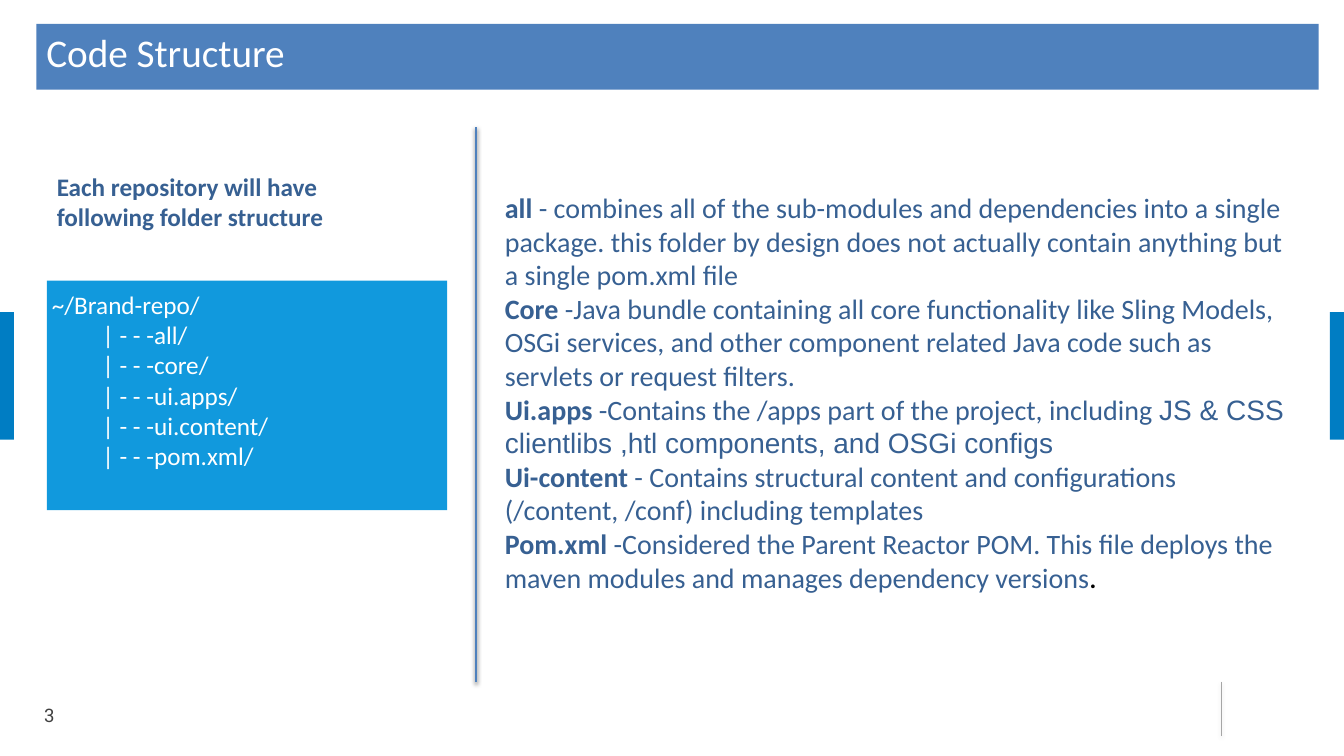
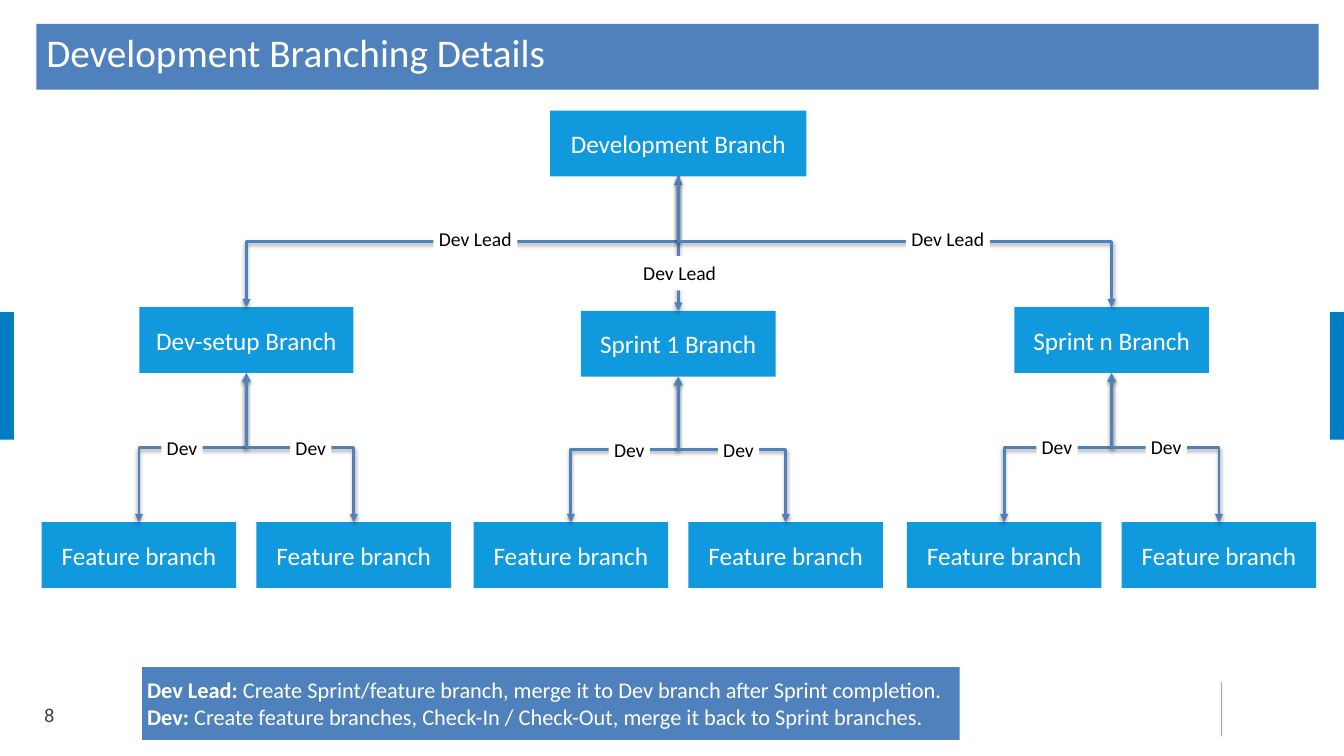
from dataclasses import dataclass
from typing import Optional

from lxml import etree
from pptx import Presentation
from pptx.dml.color import RGBColor
from pptx.enum import shapes as kinds
from pptx.enum import text as enums
from pptx.oxml import ns
from pptx.util import Pt


@dataclass(frozen=True)
class Theme:
    blue: str = "4F81BD"
    sky: str = "1199DD"
    edge: str = "007DC3"
    navy: str = "376092"
    white: str = "FFFFFF"
    black: str = "000000"
    dark: str = "404040"
    gray: str = "A6A6A6"
    face: str = "Calibri"
    plain: str = "Arial"
    mark: str = "Roboto"
    title: float = 28
    body: float = 20
    box: float = 18
    key: float = 16
    label: float = 14
    page: float = 13.3


@dataclass(frozen=True)
class Area:
    x: float
    y: float
    w: float
    h: float


@dataclass(frozen=True)
class Style:
    size: float
    color: str
    face: str = "Calibri"
    bold: Optional[bool] = None
    center: bool = False
    middle: bool = False
    wrap: bool = True
    side: float = 3.6
    foot: float = 3.6


@dataclass(frozen=True)
class Run:
    text: str
    bold: Optional[bool] = None
    face: Optional[str] = None
    size: Optional[float] = None
    color: Optional[str] = None


@dataclass(frozen=True)
class Line:
    runs: tuple[Run, ...]
    indent: float = 0


@dataclass(frozen=True)
class Branch:
    name: str
    mid: float
    top: float
    width: float
    tags: tuple[float, float]
    level: float


T = Theme()
TITLE = Style(T.title, T.white, side=7.2)
PAGE = Style(T.page, T.dark, T.mark, side=7.2)
HEAD = Style(T.box, T.navy, bold=True, side=7.2)
BODY = Style(T.body, T.navy)
CODE = Style(T.box, T.white, middle=True, foot=25.6)
BOX = Style(T.box, T.white, center=True, middle=True)
TAG = Style(T.label, T.black, center=True, wrap=False)
KEY = Style(T.key, T.white, middle=True)
HIGH = 47
SPAN = 139
REACH = 76.7
LEAF = 373
ROOT = 79
MID = 484.5
BRANCHES = (
    Branch("Dev-setup Branch", 176, 219.5, 153, (-46, 46), 308),
    Branch("Sprint 1 Branch", MID, 222, SPAN, (-35, 43), 309),
    Branch("Sprint n Branch", 794, 219.5, SPAN, (-39, 39), 307),
)


def say(text: str) -> Line:
    return Line((Run(text),))


def term(name: str, *rest: Run) -> Line:
    return Line((Run(name, bold=True), *rest))


def rgb(code: str) -> RGBColor:
    return RGBColor.from_string(code)


def write(shape, lines: list[Line], style: Style) -> None:
    frame = shape.text_frame
    frame.word_wrap = style.wrap
    frame.margin_left = frame.margin_right = Pt(style.side)
    frame.margin_top, frame.margin_bottom = Pt(3.6), Pt(style.foot)
    anchor = enums.MSO_ANCHOR
    frame.vertical_anchor = anchor.MIDDLE if style.middle else anchor.TOP
    align = enums.PP_ALIGN
    for at, line in enumerate(lines):
        para = frame.add_paragraph() if at else frame.paragraphs[0]
        para.alignment = align.CENTER if style.center else align.LEFT
        if line.indent:
            para._p.get_or_add_pPr().set("marL", str(Pt(line.indent)))
        para.font.name, para.font.size = style.face, Pt(style.size)
        para.font.color.rgb = rgb(style.color)
        para.font.bold = style.bold
        for part in line.runs:
            run = para.add_run()
            run.text = part.text
            if part.bold is not None:
                run.font.bold = part.bold
            if part.face:
                run.font.name = part.face
            if part.size:
                run.font.size = Pt(part.size)
            if part.color:
                run.font.color.rgb = rgb(part.color)


def block(slide, area: Area, fill: str):
    shape = slide.shapes.add_shape(
        kinds.MSO_SHAPE.RECTANGLE, Pt(area.x), Pt(area.y), Pt(area.w), Pt(area.h)
    )
    shape.shadow.inherit = False
    shape.fill.solid()
    shape.fill.fore_color.rgb = rgb(fill)
    shape.line.fill.background()
    return shape


def panel(slide, area: Area, fill: str, lines: list[Line], style: Style):
    shape = block(slide, area, fill)
    write(shape, lines, style)
    return shape


def note(slide, area: Area, lines: list[Line], style: Style) -> None:
    shape = slide.shapes.add_textbox(Pt(area.x), Pt(area.y), Pt(area.w), Pt(area.h))
    write(shape, lines, style)


def dress(link, color: str, width: float, head: bool = False, tail: bool = False) -> None:
    link.line.color.rgb = rgb(color)
    link.line.width = Pt(width)
    props = link.element.spPr
    stroke = props.find(ns.qn("a:ln"))
    for end, show in (("headEnd", head), ("tailEnd", tail)):
        if show:
            etree.SubElement(stroke, ns.qn(f"a:{end}"), type="triangle")
    glow = etree.SubElement(props, ns.qn("a:effectLst"))
    shade = etree.SubElement(
        glow, ns.qn("a:outerShdw"), blurRad=str(Pt(3)), dist=str(Pt(1.6)),
        dir="5400000", rotWithShape="0",
    )
    tint = etree.SubElement(shade, ns.qn("a:srgbClr"), val=T.black)
    etree.SubElement(tint, ns.qn("a:alpha"), val="38000")


def rule(slide, x: float, top: float, end: float, color: str, width: float) -> None:
    link = slide.shapes.add_connector(
        kinds.MSO_CONNECTOR.STRAIGHT, Pt(x), Pt(top), Pt(x), Pt(end)
    )
    dress(link, color, width)


def elbow(slide, x: float, top: float, to: float, end: float, head: bool) -> None:
    drop, run = end - top, abs(to - x)
    left, right = (x + to - drop) / 2, (x + to + drop) / 2
    high, low = (top + end - run) / 2, (top + end + run) / 2
    west = to < x
    start, stop = (left, right) if west else (right, left)
    link = slide.shapes.add_connector(
        kinds.MSO_CONNECTOR.ELBOW, Pt(start), Pt(high), Pt(stop), Pt(low)
    )
    turn = 90 if west else 270
    link.element.spPr.find(ns.qn("a:xfrm")).set("rot", str(turn * 60000))
    dress(link, T.blue, 2, head, True)


def tag(slide, text: str, mid: float, top: float, width: float) -> None:
    panel(slide, Area(mid - width / 2, top, width, 24.5), T.white, [say(text)], TAG)


def node(slide, text: str, mid: float, top: float, width: float):
    area = Area(mid - width / 2, top, width, HIGH)
    return panel(slide, area, T.sky, [say(text)], BOX)


def base(deck, title: str, page: int):
    slide = deck.slides.add_slide(deck.slide_layouts[6])
    for x in (0, 950):
        block(slide, Area(x, 223, 10, 91), T.edge)
    rule(slide, 872.5, 487, 525.5, T.gray, 0.25)
    panel(slide, Area(26, 17, 916, HIGH), T.blue, [say(title)], TITLE)
    note(slide, Area(24.5, 499, 49, 29.5), [say(str(page))], PAGE)
    return slide


def code(deck) -> None:
    slide = base(deck, "Code Structure", 3)
    about = [
        term("all", Run(" - combines all of the sub-modules and dependencies into a single "
                        "package. this folder by design does not actually contain anything "
                        "but a single pom.xml file")),
        term("Core ", Run("-Java bundle containing all core functionality like Sling Models, "
                          "OSGi services, and other component related Java code such as "
                          "servlets or request filters.")),
        term("Ui.apps ", Run("-Contains the /apps part of the project, including "),
             Run("JS & CSS clientlibs ,htl components, and OSGi configs", face=T.plain)),
        term("Ui-content ", Run("- Contains structural content and configurations "
                                "(/content, /conf) including templates")),
        term("Pom.xml", Run(" -Considered the Parent Reactor POM. This file deploys the "
                            "maven modules and manages dependency versions"),
             Run(".", bold=True, size=T.box, color=T.black)),
    ]
    note(slide, Area(357, 132.5, 569, 298), about, BODY)
    names = ("all", "core", "ui.apps", "ui.content", "pom.xml")
    tree = [say("~/Brand-repo/")]
    tree += [Line((Run(f"| - - -{name}/"),), indent=36) for name in names]
    panel(slide, Area(33.5, 200.5, 286, 164), T.sky, tree, CODE)
    head = say("Each repository will have following folder structure")
    note(slide, Area(33.5, 119, 247, 51), [head], HEAD)
    rule(slide, 340, 91, 487, T.blue, 2)


def flow(deck) -> None:
    slide = base(deck, "Development Branching Details", 8)
    root = node(slide, "Development Branch", MID, ROOT, 183)
    for item in BRANCHES:
        box = node(slide, item.name, item.mid, item.top, item.width)
        if item.mid == MID:
            link = slide.shapes.add_connector(kinds.MSO_CONNECTOR.STRAIGHT, 0, 0, 0, 0)
            link.begin_connect(root, 2)
            link.end_connect(box, 0)
            dress(link, T.blue, 2, True, True)
        else:
            elbow(slide, MID, ROOT + HIGH, item.mid, item.top, False)
        for side, shift in zip((-1, 1), item.tags):
            leaf = item.mid + side * REACH
            node(slide, "Feature branch", leaf, LEAF, SPAN)
            elbow(slide, item.mid, item.top + HIGH, leaf, LEAF, True)
            tag(slide, "Dev", item.mid + shift, item.level, 29.5)
    for mid, top in ((339.5, 158.5), (677, 158.5), (485.5, 183)):
        tag(slide, "Dev Lead", mid, top, 60)
    roles = [
        term("Dev Lead: ", Run("Create Sprint/feature branch, merge it to Dev branch "
                               "after Sprint completion.")),
        term("Dev: ", Run("Create feature branches, Check-In / Check-Out, merge it back "
                          "to Sprint branches.")),
    ]
    panel(slide, Area(101.5, 476.5, 584, 52), T.blue, roles, KEY)


def main() -> None:
    deck = Presentation()
    deck.slide_width, deck.slide_height = Pt(960), Pt(540)
    code(deck)
    flow(deck)
    deck.save("out.pptx")


if __name__ == "__main__":
    main()
